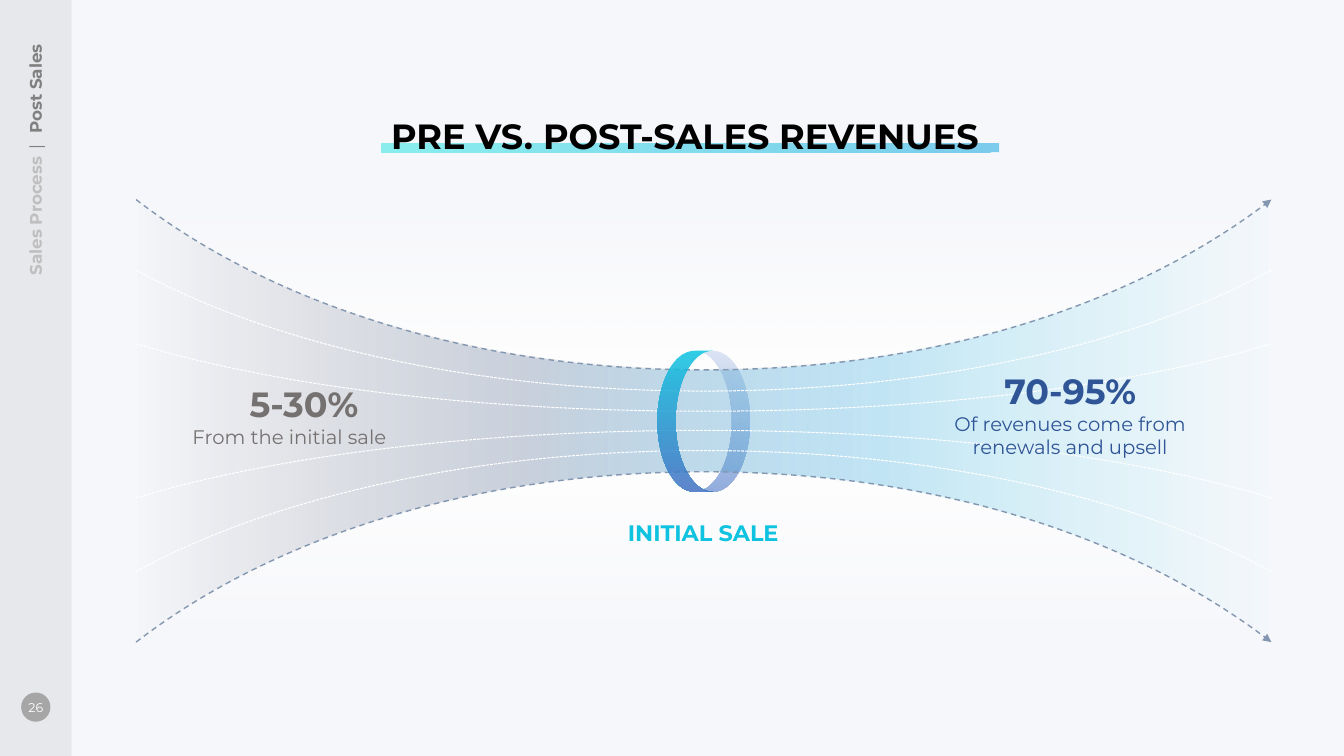
import math
from dataclasses import dataclass
from pptx import Presentation, util as u
from pptx.dml.color import RGBColor
from pptx.enum import dml, shapes, text
from pptx.oxml import ns, parse_xml

PX = 9144


@dataclass(frozen=True)
class Theme:
    font: str = "Montserrat"
    background: str = "F6F7FB"
    sidebar: str = "404040"
    badge: str = "A6A6A6"
    white: str = "FFFFFF"
    black: str = "000000"
    faded: str = "BFBFBF"
    muted: str = "808080"
    slate: str = "8497B0"
    cyan: str = "0FC3E0"
    grey: str = "767171"
    navy: str = "2F5597"
    aqua: str = "1DE5E2"
    sky: str = "00A0DE"
    royal: str = "4472C4"
    mist: str = "DAE3F3"
    periwinkle: str = "8FAADC"
    headline: int = 25
    label: int = 16
    body: int = 14
    section: int = 12
    page: int = 9


T = Theme()
CENTER, LEFT, RIGHT = text.PP_ALIGN.CENTER, text.PP_ALIGN.LEFT, text.PP_ALIGN.RIGHT

TITLE = [(LEFT, [("PRE VS. POST-SALES REVENUES", T.headline, T.black, True)])]
SECTION = [(RIGHT, [("Sales Process", T.section, T.faded, True),
                    (" | ", T.section, T.muted, False),
                    ("Post Sales", T.section, T.muted, True)])]
PAGE = [(CENTER, [("26", T.page, T.white, False)])]
INITIAL_SALE = [(CENTER, [("INITIAL SALE", T.label, T.cyan, True)])]
BEFORE_SALE = [(CENTER, [("5-30%", T.headline, T.grey, True)]),
               (LEFT, [("From the initial sale", T.body, T.grey, False)])]
AFTER_SALE = [(CENTER, [("70-95%", T.headline, T.navy, True)]),
              (CENTER, [("Of revenues come from renewals and upsell", T.body, T.navy, False)])]

SIDEBAR_FILL = [(0, T.sidebar, 8), (100, T.sidebar, 8)]
UNDERLINE_FILL = [(0, T.aqua, 50), (100, T.sky, 50)]
GLOW_FILL = [(0, T.white, 0), (100, T.white, 100)]
FUNNEL_FILL = [(0, T.grey, 0), (35, T.slate, 40), (65, T.sky, 21), (100, T.aqua, 0)]
RING_BACK_FILL = [(0, T.mist, 100), (100, T.periwinkle, 100)]
RING_FRONT_FILL = [(0, T.cyan, 85), (100, T.royal, 85)]

FUNNEL_LEFT, FUNNEL_MIDDLE, MIRROR_SUM = 135, 698, 835
OUTER = (198, 367)
INNER = [(268, 388), (341, 408)]
RING_LEFT, RING_RIGHT, RING_Y, RING_RX, RING_RY = 689, 707, 418, 37, 70


def place(*lengths):
    return [u.Emu(length * PX) for length in lengths]


def gradient(shape, stops, angle=None):
    shape.fill.background()
    entries = "".join(
        f'<a:gs pos="{pos * 1000}"><a:srgbClr val="{color}"><a:alpha val="{alpha * 1000}"/></a:srgbClr></a:gs>'
        for pos, color, alpha in stops)
    if angle is None:
        direction = '<a:path path="circle"><a:fillToRect t="100000" r="100000"/></a:path>'
    else:
        direction = f'<a:lin ang="{angle * 60000}" scaled="0"/>'
    fill = parse_xml(f'<a:gradFill {ns.nsdecls("a")}><a:gsLst>{entries}</a:gsLst>{direction}</a:gradFill>')
    properties = shape.element.spPr
    properties.replace(properties.find(ns.qn("a:noFill")), fill)


def add_preset(kind, box):
    shape = slide.shapes.add_shape(kind, *place(*box))
    shape.shadow.inherit = False
    shape.line.fill.background()
    return shape


def write(shape, paragraphs, wrap=False, anchor=text.MSO_ANCHOR.TOP):
    frame = shape.text_frame
    frame.word_wrap = wrap
    frame.vertical_anchor = anchor
    for index, (align, runs) in enumerate(paragraphs):
        paragraph = frame.add_paragraph() if index else frame.paragraphs[0]
        paragraph.alignment = align
        for words, size, color, bold in runs:
            run = paragraph.add_run()
            run.text = words
            run.font.name, run.font.size, run.font.bold = T.font, u.Pt(size), bold
            run.font.color.rgb = RGBColor.from_string(color)


def add_text(box, paragraphs, wrap=False):
    shape = slide.shapes.add_textbox(*place(*box))
    write(shape, paragraphs, wrap)
    shape.text_frame.auto_size = text.MSO_AUTO_SIZE.SHAPE_TO_FIT_TEXT
    return shape


def add_outline(points, closed=True):
    scaled = [(round(x * PX), round(y * PX)) for x, y in points]
    builder = slide.shapes.build_freeform(*scaled[0], scale=1.0)
    builder.add_line_segments(scaled[1:], close=closed)
    shape = builder.convert_to_shape()
    shape.shadow.inherit = False
    shape.line.fill.background()
    segments = list(shape.element.iter(ns.qn("a:lnTo")))
    for first in range(0, len(segments), 3):
        bezier = parse_xml(f'<a:cubicBezTo {ns.nsdecls("a")}/>')
        segments[first].addprevious(bezier)
        for segment in segments[first:first + 3]:
            bezier.append(segment[0])
            segment.getparent().remove(segment)
    return shape


def add_area(points, stops, angle):
    gradient(add_outline(points), stops, angle)


def add_stream(points, color, width, dash, arrow=False):
    shape = add_outline(points, closed=False)
    shape.fill.background()
    shape.line.color.rgb = RGBColor.from_string(color)
    shape.line.width = u.Pt(width)
    shape.line.dash_style = dash
    if arrow:
        shape.element.spPr.find(ns.qn("a:ln")).append(
            parse_xml(f'<a:tailEnd {ns.nsdecls("a")} type="triangle"/>'))


def curve(edge, waist):
    bend = edge + (waist - edge) * 0.62
    half = [(FUNNEL_LEFT, edge), (271, bend), (472, waist), (FUNNEL_MIDDLE, waist)]
    return half + [(2 * FUNNEL_MIDDLE - x, y) for x, y in reversed(half[:-1])]


def mirrored(points):
    return [(x, MIRROR_SUM - y) for x, y in points]


def join(first, second):
    return first + [first[-1], second[0]] + second


def arc(center, start, end):
    count = math.ceil(abs(end - start) / 90)
    step = math.radians(end - start) / count
    reach = 4 / 3 * math.tan(step / 4)
    unit = [(math.cos(math.radians(start)), math.sin(math.radians(start)))]
    for index in range(count):
        x, y = unit[-1]
        angle = math.radians(start) + step * (index + 1)
        end_x, end_y = math.cos(angle), math.sin(angle)
        unit += [(x - reach * y, y + reach * x),
                 (end_x + reach * end_y, end_y - reach * end_x), (end_x, end_y)]
    return [(center + RING_RX * x, RING_Y + RING_RY * y) for x, y in unit]


presentation = Presentation()
presentation.slide_width, presentation.slide_height = place(1333, 750)
slide = presentation.slides.add_slide(presentation.slide_layouts[5])
slide.background.fill.solid()
slide.background.fill.fore_color.rgb = RGBColor.from_string(T.background)

title = slide.shapes.title
title.left, title.top, title.width, title.height = place(378, 109, 613, 52)
write(title, TITLE)
title.text_frame.auto_size = text.MSO_AUTO_SIZE.SHAPE_TO_FIT_TEXT

sidebar = add_preset(shapes.MSO_SHAPE.RECTANGLE, (0, 0, 71, 750))
gradient(sidebar, SIDEBAR_FILL, 0)
badge = add_preset(shapes.MSO_SHAPE.OVAL, (21, 687, 29, 29))
badge.fill.solid()
badge.fill.fore_color.rgb = RGBColor.from_string(T.badge)
badge.text_frame.margin_left = badge.text_frame.margin_right = 0
write(badge, PAGE, anchor=text.MSO_ANCHOR.MIDDLE)
underline = add_preset(shapes.MSO_SHAPE.RECTANGLE, (378, 142, 613, 9))
gradient(underline, UNDERLINE_FILL)
underline.element.addnext(title.element)

section = add_text((-94, 148, 258, 30), SECTION)
section.rotation = 270
list(section.element.iter(ns.qn("a:rPr")))[1].set("spc", "210")

upper = curve(*OUTER)
lower = mirrored(upper)
add_area(upper, GLOW_FILL, 90)
add_area(lower, GLOW_FILL, 270)

crossing = math.degrees(math.acos((RING_RIGHT - RING_LEFT) / 2 / RING_RX))
ring_back = (arc(RING_RIGHT, -90, 180 - crossing) + arc(RING_LEFT, crossing, -crossing)[1:]
             + arc(RING_RIGHT, crossing - 180, -90)[1:])
ring_front = join(arc(RING_LEFT, 90, 270), arc(RING_RIGHT, 270, 90))
add_area(ring_back, RING_BACK_FILL, 90)
add_area(join(upper, lower[::-1]), FUNNEL_FILL, 0)

for border in (upper, lower):
    add_stream(border, T.slate, 1, dml.MSO_LINE.DASH, arrow=True)
add_text((612, 510, 171, 37), INITIAL_SALE)
for edge, waist in INNER:
    stream = curve(edge, waist)
    for points in (stream, mirrored(stream)):
        add_stream(points, T.white, 0.75, dml.MSO_LINE.SQUARE_DOT)
add_area(ring_front, RING_FRONT_FILL, 90)

add_text((181, 375, 241, 85), BEFORE_SALE)
add_text((903, 362, 317, 111), AFTER_SALE, wrap=True)

presentation.save("out.pptx")
